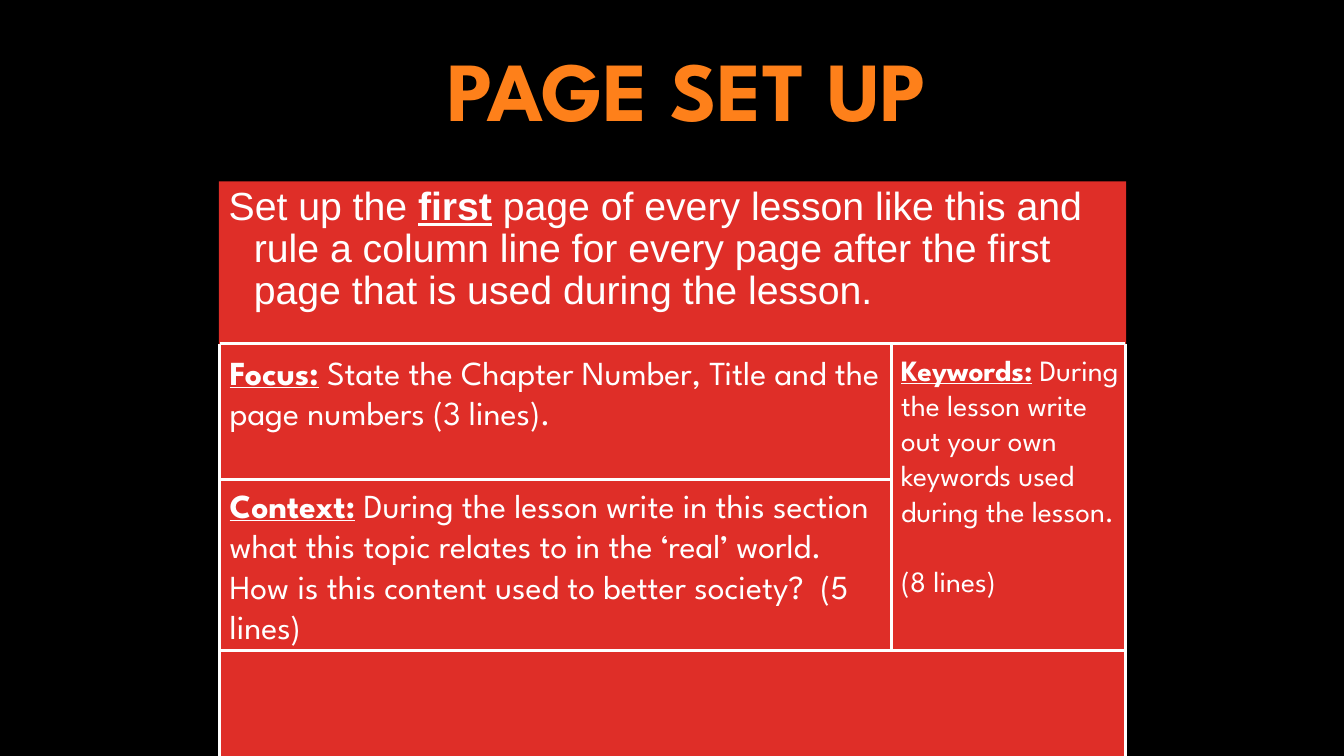
"""Build the page set-up slide with its ruled lesson page."""
import pptx
import pptx.dml.color
import pptx.enum.shapes
import pptx.enum.text
import pptx.util
from lxml import etree
from pptx.oxml.ns import qn
from pptx.util import Inches

COLORS = {"background": "000000", "title": "FE801A", "panel": "DF2E28", "white": "FFFFFF"}
HEADING_FONT = "League Spartan"
LEFT, DIVIDER, RIGHT = 2.18, 8.84, 11.16
TOP, MIDDLE, BASE, BOTTOM = 3.41, 4.76, 6.45, 9.98


def color(name):
    """Return the named colour."""
    return pptx.dml.color.RGBColor.from_string(COLORS[name])


def add_run(paragraph, text, size, font, color_name="white", bold=False, underline=False):
    """Append a formatted run to a paragraph."""
    run = paragraph.add_run()
    run.text = text
    run.font.size = pptx.util.Pt(size)
    run.font.name = font
    run.font.bold = bold
    run.font.underline = underline
    run.font.color.rgb = color(color_name)


def add_title(slide, text):
    """Add the slide title."""
    box = slide.shapes.add_textbox(Inches(4.34), Inches(0.31), Inches(9), Inches(1.25))
    frame = box.text_frame
    frame.word_wrap = True
    frame.vertical_anchor = pptx.enum.text.MSO_ANCHOR.MIDDLE
    paragraph = frame.paragraphs[0]
    paragraph.line_spacing = 0.9
    add_run(paragraph, text, 60, HEADING_FONT, "title", bold=True)


def add_panel(slide, before, emphasis, after):
    """Add the red page with its instruction and one emphasised word."""
    panel = slide.shapes.add_shape(
        pptx.enum.shapes.MSO_SHAPE.RECTANGLE,
        Inches(2.17), Inches(1.8), Inches(9), Inches(5.91))
    panel.shadow.inherit = False
    panel.fill.solid()
    panel.fill.fore_color.rgb = color("panel")
    panel.line.fill.background()
    frame = panel.text_frame
    frame.word_wrap = True
    frame.vertical_anchor = pptx.enum.text.MSO_ANCHOR.TOP
    paragraph = frame.paragraphs[0]
    paragraph.alignment = pptx.enum.text.PP_ALIGN.LEFT
    paragraph.line_spacing = 0.9
    properties = paragraph._p.get_or_add_pPr()
    properties.set("marL", str(Inches(0.25)))
    properties.set("indent", str(Inches(-0.25)))
    add_run(paragraph, before, 28, "Arial")
    add_run(paragraph, emphasis, 28, "Arial", bold=True, underline=True)
    add_run(paragraph, after, 28, "Arial")


def add_section(slide, left, top, width, height, size, label, text, closing=None):
    """Add a labelled section of the page, with an optional closing paragraph."""
    box = slide.shapes.add_textbox(Inches(left), Inches(top), Inches(width), Inches(height))
    frame = box.text_frame
    frame.word_wrap = True
    paragraph = frame.paragraphs[0]
    add_run(paragraph, label, size, HEADING_FONT, bold=True, underline=True)
    add_run(paragraph, text, size, HEADING_FONT)
    if closing:
        paragraph = frame.add_paragraph()
        paragraph.space_before = pptx.util.Pt(25)
        add_run(paragraph, closing, size, HEADING_FONT)


def add_rule(slide, start_x, start_y, end_x, end_y):
    """Add a white ruled line."""
    rule = slide.shapes.add_connector(
        pptx.enum.shapes.MSO_CONNECTOR.STRAIGHT,
        Inches(start_x), Inches(start_y), Inches(end_x), Inches(end_y))
    rule.line.color.rgb = color("white")
    rule.line.width = pptx.util.Pt(2)
    etree.SubElement(rule._element.spPr, qn("a:effectLst"))


def main():
    """Build and save the presentation."""
    presentation = pptx.Presentation()
    presentation.slide_width = Inches(13.33)
    presentation.slide_height = Inches(7.5)
    slide = presentation.slides.add_slide(presentation.slide_layouts[6])
    slide.background.fill.solid()
    slide.background.fill.fore_color.rgb = color("background")

    add_title(slide, "PAGE SET UP")
    add_panel(slide, "Set up the ", "first",
              " page of every lesson like this and rule a column line for every page "
              "after the first page that is used during the lesson.")
    add_section(slide, LEFT, 3.44, 6.66, 0.91, 24, "Focus:",
                " State the Chapter Number, Title and the page numbers (3 lines).")
    add_section(slide, LEFT, MIDDLE, 6.63, 1.72, 24, "Context:",
                " During the lesson write in this section what this topic relates to in "
                "the ‘real’ world. How is this content used to better society?  (5 lines)")
    add_section(slide, DIVIDER, 3.44, 2.39, 3.02, 21, "Keywords:",
                " During the lesson write out your own keywords used during the lesson.",
                "(8 lines)")

    for x, bottom in ((LEFT, BOTTOM), (RIGHT, BOTTOM), (DIVIDER, BASE)):
        add_rule(slide, x, bottom, x, TOP)
    for start, end, y in ((RIGHT, LEFT, TOP), (DIVIDER, LEFT, MIDDLE),
                          (DIVIDER, LEFT, BASE), (RIGHT, DIVIDER, BASE)):
        add_rule(slide, start, y, end, y)

    presentation.save("out.pptx")


if __name__ == "__main__":
    main()
